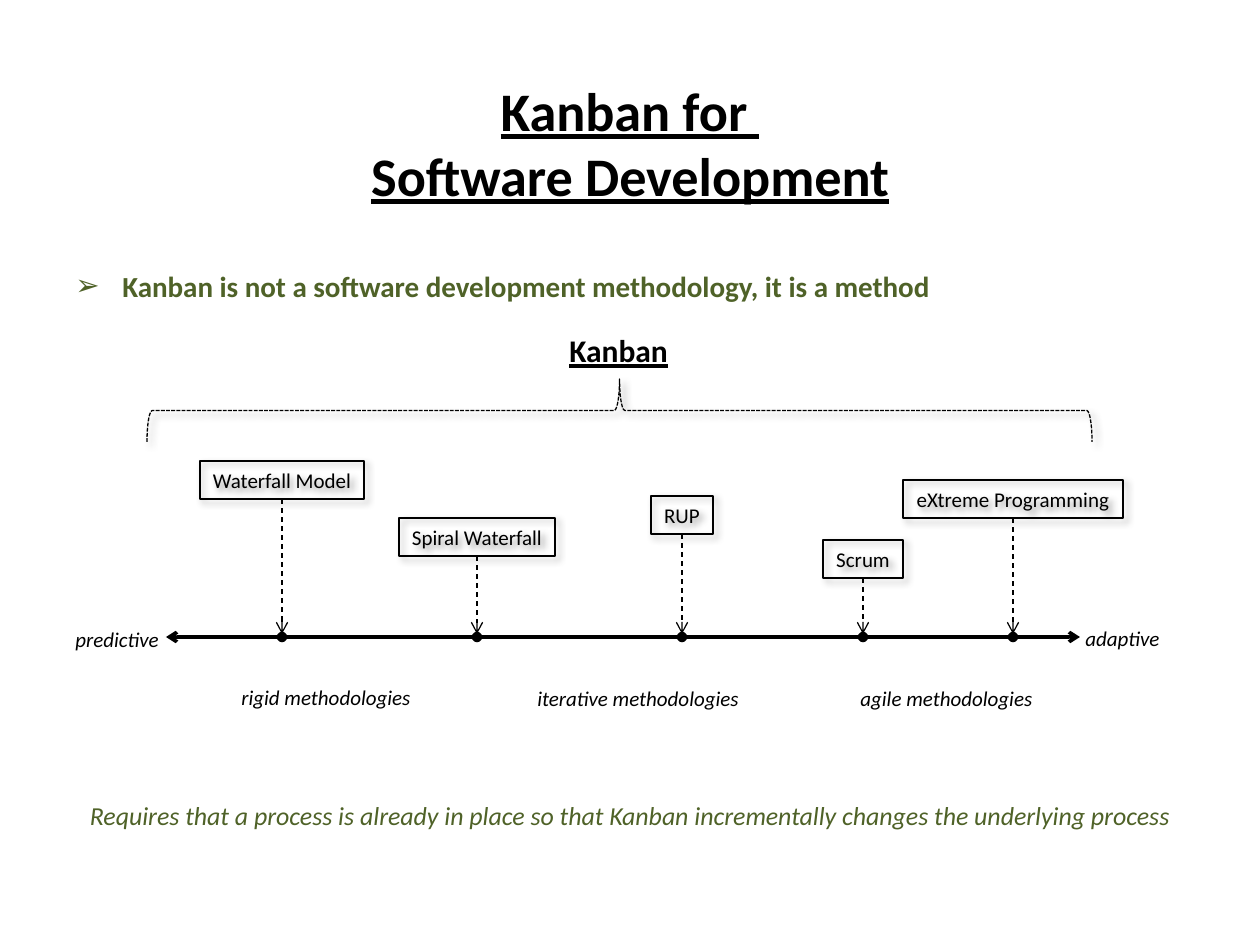
from dataclasses import dataclass
from itertools import pairwise
from typing import Any, NamedTuple

from lxml.etree import SubElement
from pptx import Presentation
from pptx.dml.color import RGBColor
from pptx.enum.dml import MSO_LINE
from pptx.enum.shapes import MSO_CONNECTOR, MSO_SHAPE
from pptx.enum.text import MSO_ANCHOR, MSO_AUTO_SIZE, PP_ALIGN
from pptx.oxml.ns import qn
from pptx.util import Emu, Pt


@dataclass(frozen=True)
class Theme:
    font: str = "Calibri"
    ink: RGBColor = RGBColor(0x00, 0x00, 0x00)
    accent: RGBColor = RGBColor(0x4F, 0x62, 0x28)
    title: float = 31
    statement: float = 16.6
    heading: float = 18
    note: float = 14.8
    label: float = 12
    thin: float = 0.75
    thick: float = 2


class Box(NamedTuple):
    left: int
    top: int
    width: int
    height: int


class Method(NamedTuple):
    name: str
    center: int
    top: int
    width: int


class Label(NamedTuple):
    text: str
    box: Box


THEME = Theme()
PX_PER_INCH = 126
BOX_HEIGHT = 38
AXIS_Y = 637
ARROW_TIP_Y = 634
AXIS_START, AXIS_END = 166, 1080

METHODS = [
    Method("Waterfall Model", 282, 461, 164),
    Method("Spiral Waterfall", 477, 518, 156),
    Method("RUP", 682, 496, 62),
    Method("Scrum", 863, 540, 80),
    Method("eXtreme Programming", 1013, 480, 220),
]
AXIS_LABELS = [
    Label("predictive", Box(63, 620, 110, 38)),
    Label("adaptive", Box(1073, 619, 101, 38)),
    Label("rigid methodologies", Box(229, 678, 195, 38)),
    Label("iterative methodologies", Box(525, 679, 229, 38)),
    Label("agile methodologies", Box(848, 679, 199, 38)),
]


def px(length: int) -> Emu:
    return Emu(round(length * 914400 / PX_PER_INCH))


def emus(box: Box) -> list[Emu]:
    return [px(length) for length in box]


def apply(target: Any, formats: dict[str, Any]) -> None:
    for name, value in formats.items():
        setattr(target, name, value)


def write(shape: Any, text: str, size: float, color: RGBColor = THEME.ink,
          align: PP_ALIGN = PP_ALIGN.LEFT, wrap: bool = False, bullet: str = "",
          **style: bool) -> None:
    """Fill a shape with one formatted paragraph."""
    frame = shape.text_frame
    apply(frame, {
        "word_wrap": wrap,
        "auto_size": MSO_AUTO_SIZE.NONE if wrap else MSO_AUTO_SIZE.SHAPE_TO_FIT_TEXT,
    })
    paragraph = frame.paragraphs[0]
    paragraph.text = text
    paragraph.alignment = align
    if bullet:
        properties = paragraph._p.get_or_add_pPr()
        indent = px(47)
        properties.set("marL", str(indent))
        properties.set("indent", str(-indent))
        SubElement(properties, qn("a:buFont"), typeface="Arial")
        SubElement(properties, qn("a:buChar"), char=bullet)
    for run in paragraph.runs:
        apply(run.font, {"name": THEME.font, "size": Pt(size), **style})
        run.font.color.rgb = color


def add_text(slide: Any, box: Box, text: str, size: float, **options: Any) -> None:
    write(slide.shapes.add_textbox(*emus(box)), text, size, **options)


def set_line(shape: Any, width: float, dash: MSO_LINE | None = None) -> None:
    shape.line.color.rgb = THEME.ink
    apply(shape.line, {"width": Pt(width), "dash_style": dash})


def add_outline(slide: Any, kind: MSO_SHAPE, box: Box,
                dash: MSO_LINE | None = None) -> Any:
    """Add an unfilled shape with a soft shadow."""
    shape = slide.shapes.add_shape(kind, *emus(box))
    shape.fill.background()
    set_line(shape, THEME.thin, dash)
    shape.shadow.inherit = False
    effects = shape.element.spPr.find(qn("a:effectLst"))
    shadow = SubElement(effects, qn("a:outerShdw"), blurRad=str(Pt(4)),
                        dist=str(Pt(3)), dir="2700000", algn="tl", rotWithShape="0")
    shade = SubElement(shadow, qn("a:srgbClr"), val=str(THEME.ink))
    SubElement(shade, qn("a:alpha"), val="40000")
    return shape


def add_line(slide: Any, start: tuple[int, int], end: tuple[int, int], width: float,
             dash: MSO_LINE | None = None, head: str = "none", tail: str = "none") -> Any:
    line = slide.shapes.add_connector(
        MSO_CONNECTOR.STRAIGHT, *(px(length) for length in (*start, *end)))
    set_line(line, width, dash)
    properties = line.element.spPr
    stroke = properties.find(qn("a:ln"))
    SubElement(stroke, qn("a:headEnd"), type=head)
    SubElement(stroke, qn("a:tailEnd"), type=tail)
    SubElement(properties, qn("a:effectLst"))
    return line


def add_method(slide: Any, method: Method) -> None:
    """Add a named box with its dashed arrow down to the axis."""
    box = Box(method.center - method.width // 2, method.top, method.width, BOX_HEIGHT)
    rectangle = add_outline(slide, MSO_SHAPE.RECTANGLE, box)
    write(rectangle, method.name, THEME.label, align=PP_ALIGN.CENTER)
    arrow = add_line(slide, (method.center, method.top + BOX_HEIGHT),
                     (method.center, ARROW_TIP_Y), THEME.thin, MSO_LINE.DASH, tail="arrow")
    arrow.begin_connect(rectangle, 2)


def add_axis(slide: Any) -> None:
    """Add the axis, with a dot under each method and an arrow at each end."""
    stops = [AXIS_START, *(method.center for method in METHODS), AXIS_END]
    for left, right in pairwise(stops):
        add_line(slide, (left, AXIS_Y), (right, AXIS_Y), THEME.thick,
                 head="arrow" if left == AXIS_START else "none",
                 tail="arrow" if right == AXIS_END else "oval")


def main() -> None:
    deck = Presentation()
    apply(deck, {"slide_width": px(1260), "slide_height": px(945)})
    slide = deck.slides.add_slide(deck.slide_layouts[5])

    # Title and statement
    title = slide.shapes.title
    apply(title, dict(zip(("left", "top", "width", "height"), emus(Box(63, 63, 1134, 158)))))
    write(title, "Kanban for \vSoftware Development", THEME.title,
          align=PP_ALIGN.CENTER, wrap=True, bold=True, underline=True)
    title.text_frame.vertical_anchor = MSO_ANCHOR.MIDDLE
    add_text(slide, Box(63, 262, 1134, 50),
             "Kanban is not a software development methodology, it is a method",
             THEME.statement, color=THEME.accent, wrap=True, bullet="➢", bold=True)

    # Kanban spanning all methods
    add_text(slide, Box(557, 325, 125, 50), "Kanban", THEME.heading,
             bold=True, underline=True)
    brace = add_outline(slide, MSO_SHAPE.LEFT_BRACE, Box(588, -62, 63, 945),
                        MSO_LINE.SQUARE_DOT)
    brace.rotation = 90

    # Methods along the axis
    add_axis(slide)
    for method in METHODS:
        add_method(slide, method)
    for label in AXIS_LABELS:
        add_text(slide, label.box, label.text, THEME.label, italic=True)

    # Closing note
    add_text(slide, Box(63, 793, 1134, 45),
             "Requires that a process is already in place so that Kanban "
             "incrementally changes the underlying process",
             THEME.note, color=THEME.accent, align=PP_ALIGN.CENTER, wrap=True, italic=True)

    deck.save("out.pptx")


if __name__ == "__main__":
    main()
